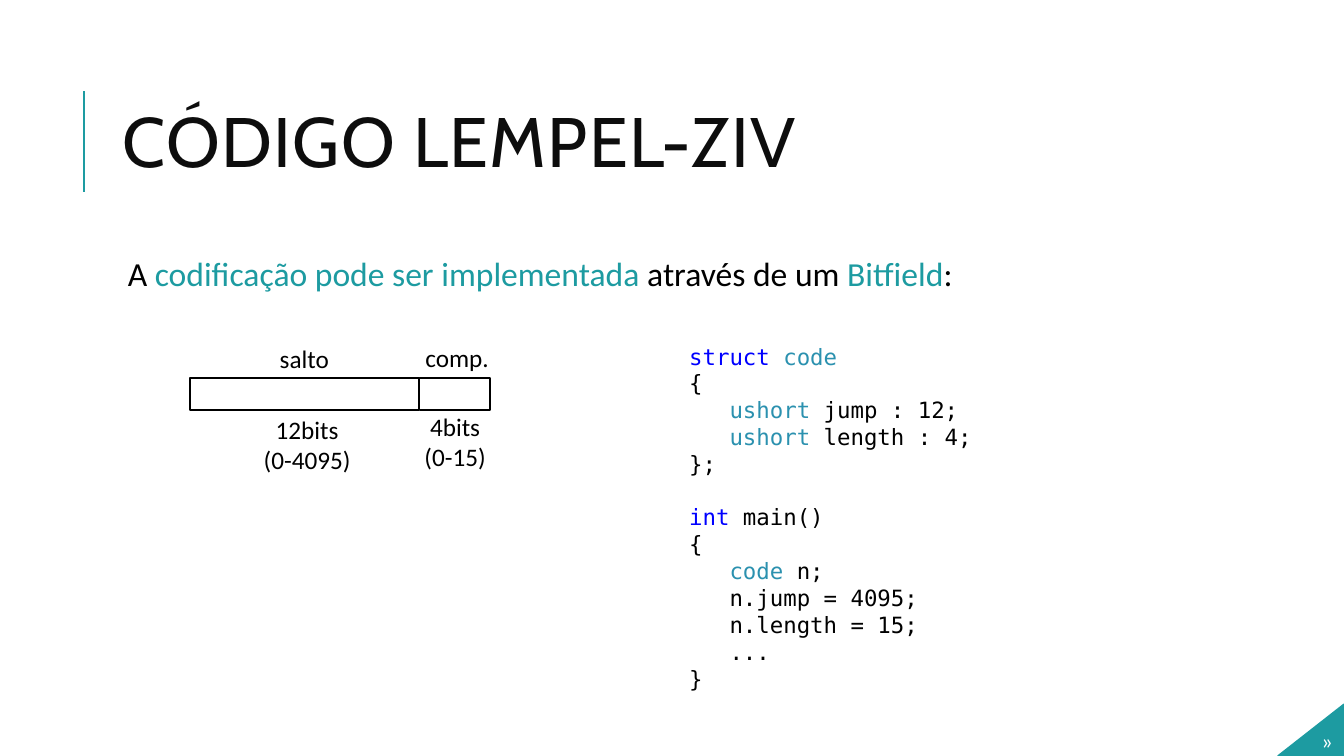
from lxml import etree
from pptx import Presentation
from pptx.dml.color import RGBColor
from pptx.enum.shapes import MSO_CONNECTOR, MSO_SHAPE
from pptx.enum.text import MSO_ANCHOR, MSO_AUTO_SIZE, PP_ALIGN
from pptx.oxml.ns import qn
from pptx.util import Cm, Pt

COLORS = {
    "teal": "1D9BA1",
    "title": "0D0D0D",
    "black": "000000",
    "white": "FFFFFF",
    "keyword": "0000FF",
    "type": "2B91AF",
}


def rgb(name):
    return RGBColor.from_string(COLORS[name])


def add_runs(paragraph, pieces, size, font="Calibri"):
    for text, color in pieces:
        run = paragraph.add_run()
        run.text = text
        run.font.name = font
        run.font.size = Pt(size)
        run.font.color.rgb = rgb(color)


prs = Presentation()
prs.slide_width, prs.slide_height = Cm(33.87), Cm(19.05)
slide = prs.slides.add_slide(prs.slide_layouts[1])
shapes = slide.shapes

accent = shapes.add_connector(MSO_CONNECTOR.STRAIGHT, Cm(2.12), Cm(4.83), Cm(2.12), Cm(2.3))
accent.line.color.rgb = rgb("teal")
accent.line.width = Pt(1.5)
etree.SubElement(accent._element.spPr, qn("a:effectLst"))

title = shapes.title
title.left, title.top, title.width, title.height = Cm(2.84), Cm(1.63), Cm(27), Cm(4.17)
title_frame = title.text_frame
title_frame.auto_size = MSO_AUTO_SIZE.NONE
title_frame.vertical_anchor = MSO_ANCHOR.MIDDLE
heading = title_frame.paragraphs[0]
heading.alignment = PP_ALIGN.LEFT
heading.line_spacing = 0.8
add_runs(heading, [("CÓDIGO LEMPEL-ZIV", "title")], 50, "Cabin")
heading.runs[0].font._element.set("spc", "100")

body = slide.placeholders[1]
body.left, body.top, body.width, body.height = Cm(2.84), Cm(6.35), Cm(27), Cm(11.18)
body_frame = body.text_frame
body_frame.auto_size = MSO_AUTO_SIZE.NONE
body_frame.margin_left = body_frame.margin_right = Cm(0.13)
body_frame.margin_top = body_frame.margin_bottom = Cm(0.13)
statement = body_frame.paragraphs[0]
statement_props = statement._p.get_or_add_pPr()
statement_props.set("marL", str(Cm(0.25)))
statement_props.set("indent", "0")
etree.SubElement(statement_props, qn("a:buNone"))
statement.line_spacing = 0.9
statement.space_before = Pt(0)
statement.space_after = Pt(2)
add_runs(statement, [
    ("A ", "black"),
    ("codificação pode ser implementada ", "teal"),
    ("através de um ", "black"),
    ("Bitfield", "teal"),
    (":", "black"),
], 24)

for left, width in [(10.57, 1.78), (4.78, 5.79)]:
    field = shapes.add_shape(MSO_SHAPE.RECTANGLE, Cm(left), Cm(9.53), Cm(width), Cm(0.81))
    field.shadow.inherit = False
    field.fill.solid()
    field.fill.fore_color.rgb = rgb("white")
    field.line.color.rgb = rgb("black")
    field.line.width = Pt(1.25)

field_labels = [
    (6.17, 8.53, 3, 1.02, ["salto"]),
    (10.02, 8.51, 3, 1.02, ["comp."]),
    (6.24, 10.31, 3, 1.8, ["12bits", "(0-4095)"]),
    (9.97, 10.24, 3, 1.8, ["4bits", "(0-15)"]),
]
for left, top, width, height, lines in field_labels:
    label_frame = shapes.add_textbox(Cm(left), Cm(top), Cm(width), Cm(height)).text_frame
    label_frame.word_wrap = False
    for number, line in enumerate(lines):
        paragraph = label_frame.add_paragraph() if number else label_frame.paragraphs[0]
        paragraph.alignment = PP_ALIGN.CENTER
        add_runs(paragraph, [(line, "black")], 18)

code_lines = [
    [("struct", "keyword"), (" ", "black"), ("code", "type")],
    [("{", "black")],
    [("   ushort", "type"), (" jump : 12;", "black")],
    [("   ushort", "type"), (" length : 4;", "black")],
    [("};", "black")],
    [("int", "keyword"), (" main()", "black")],
    [("{", "black")],
    [("   code", "type"), (" n;", "black")],
    [("   n.jump = 4095;", "black")],
    [("   n.length = 15;", "black")],
    [("   ...", "black")],
    [("}", "black")],
]
code_frame = shapes.add_textbox(Cm(17.12), Cm(8.51), Cm(9.02), Cm(9.14)).text_frame
code_frame.word_wrap = True
for number, pieces in enumerate(code_lines):
    paragraph = code_frame.add_paragraph() if number else code_frame.paragraphs[0]
    if pieces[0][0] == "int":
        paragraph.space_before = Pt(19)
    add_runs(paragraph, pieces, 16, "DejaVu Sans Mono")

corner_outline = shapes.build_freeform(Cm(32.21), Cm(19.05))
corner_outline.add_line_segments([(Cm(33.87), Cm(17.75)), (Cm(33.87), Cm(19.05))], close=True)
corner = corner_outline.convert_to_shape()
corner.shadow.inherit = False
corner.fill.solid()
corner.fill.fore_color.rgb = rgb("teal")
corner.line.color.rgb = rgb("teal")
corner.line.width = Pt(1.25)

next_frame = shapes.add_textbox(Cm(32.87), Cm(18.19), Cm(1), Cm(0.86)).text_frame
next_frame.word_wrap = True
next_frame.margin_left = Cm(0.43)
next_frame.margin_right = 0
add_runs(next_frame.paragraphs[0], [("»", "white")], 16)

prs.save("out.pptx")
